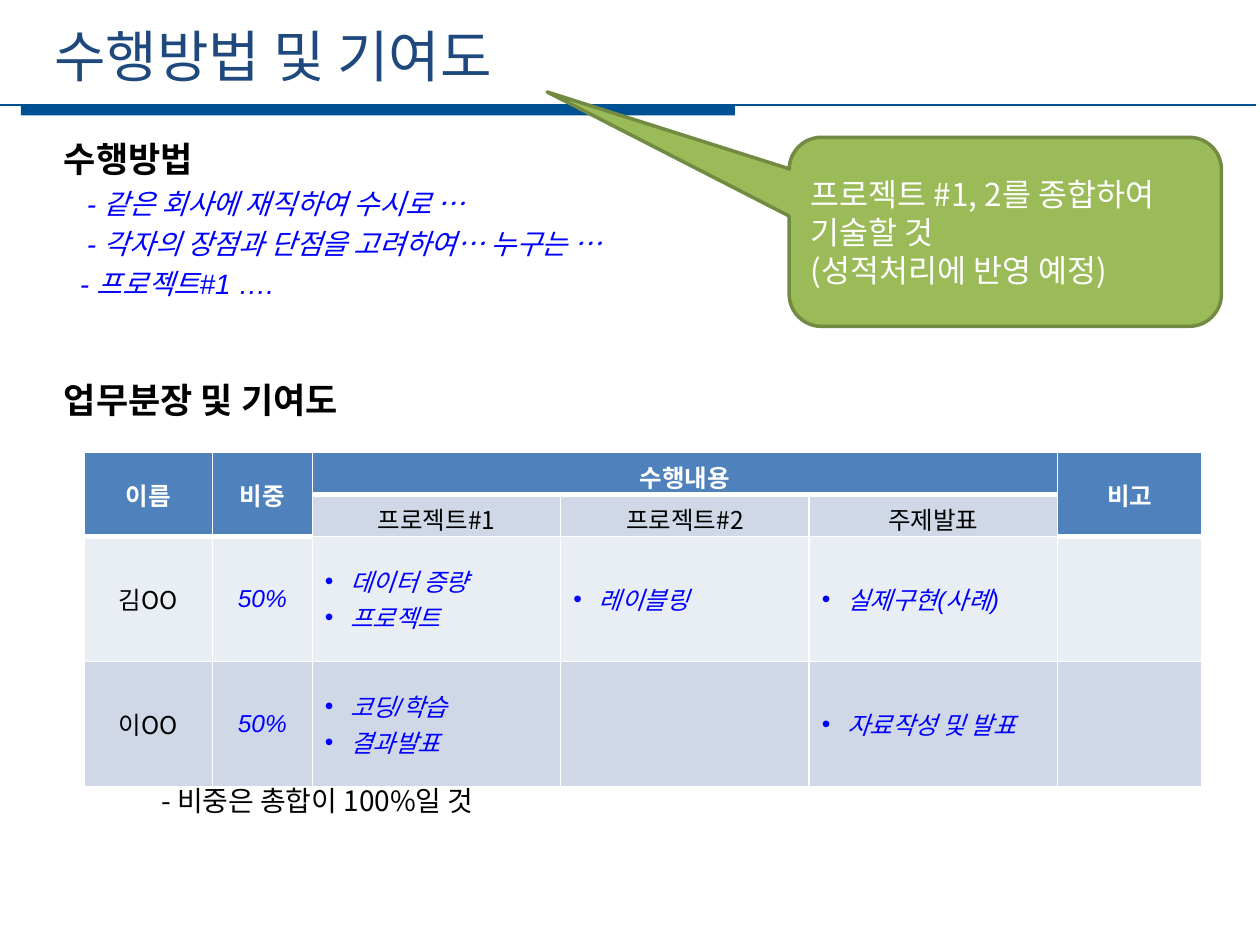
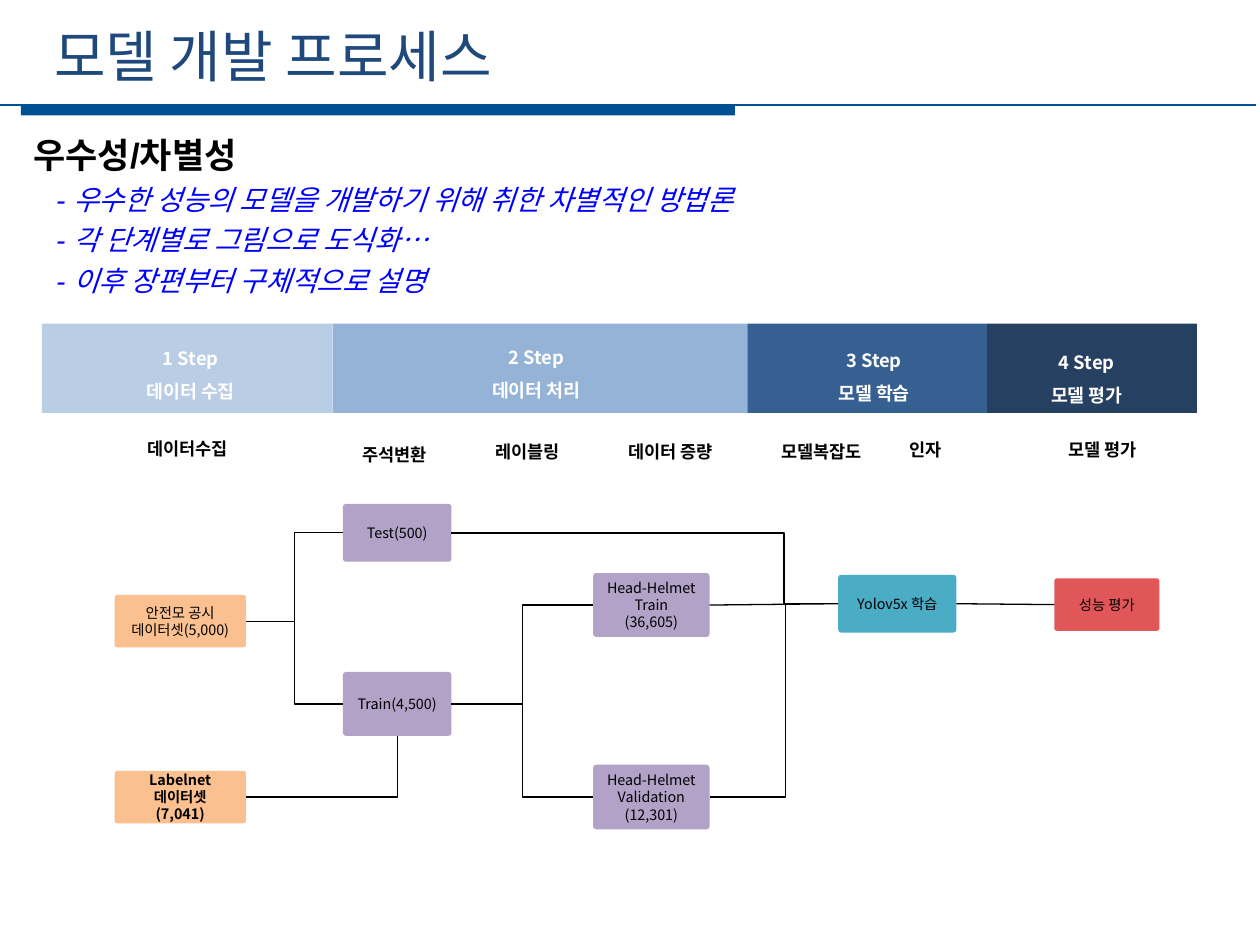
import pptx
import pptx.util
import pptx.dml.color
import pptx.enum.shapes
import pptx.enum.text
import pptx.oxml.ns
from lxml import etree

Pt = pptx.util.Pt
SHAPE = pptx.enum.shapes.MSO_SHAPE
CONN = pptx.enum.shapes.MSO_CONNECTOR
ALIGN = pptx.enum.text.PP_ALIGN
ANCHOR = pptx.enum.text.MSO_ANCHOR
qn = pptx.oxml.ns.qn

# Shared style
NOTO, ARIAL = "Noto Sans CJK KR", "Arial"
C = {
    "white": "FFFFFF", "black": "000000", "title": "1F497D", "band": "005094",
    "blue": "0000FF", "head": "4F81BD", "row_dark": "D0D8E8", "row_light": "E9EDF4",
    "callout": "9BBB59", "callout_line": "738A42",
    "step1": "B9CDE5", "step2": "95B3D7", "step3": "376092", "step4": "254061",
    "source": "FAC090", "data": "B3A2C7", "model": "4BACC6", "result": "E15759",
}

# Slide 1 content
METHOD_TITLE = "수행방법 및 기여도"
METHOD_LINES = [  # text, indent
    ("- 같은 회사에 재직하여 수시로 …", 13),
    ("- 각자의 장점과 단점을 고려하여… 누구는 …", 13),
    ("- 프로젝트#1 ….", 9),
]
CALLOUT = "프로젝트 #1, 2를 종합하여 기술할 것\n(성적처리에 반영 예정)"
NOTE = "- 비중은 총합이 100%일 것"
COLS = [73.5, 57, 142, 142, 142, 82.5]
ROWS = [24, 24, 71.5, 71.5]
TABLE = [
    ["이름", "비중", "수행내용", "", "", "비고"],
    ["", "", "프로젝트#1", "프로젝트#2", "주제발표", ""],
    ["김OO", "50%", "데이터 증량\n프로젝트", "레이블링", "실제구현(사례)", ""],
    ["이OO", "50%", "코딩/학습\n결과발표", "", "자료작성 및 발표", ""],
]
MERGES = [(0, 0, 1, 0), (0, 1, 1, 1), (0, 2, 0, 4), (0, 5, 1, 5)]
TASK_COLS = (2, 3, 4)

# Slide 2 content
PROCESS_TITLE = "모델 개발 프로세스"
PROCESS_LINES = [
    ("- 우수한 성능의 모델을 개발하기 위해 취한 차별적인 방법론", 13),
    ("- 각 단계별로 그림으로 도식화…", 13),
    ("- 이후 장편부터 구체적으로 설명", 13),
]
STEP_EDGES = [24, 190, 427, 564, 684]
STEPS = [  # text, centre, top
    ("1 Step\n데이터 수집", 109, 188.5),
    ("2 Step\n데이터 처리", 306.5, 188),
    ("3 Step\n모델 학습", 499.5, 189.5),
    ("4 Step\n모델 평가", 621, 191),
]
LABELS = [  # text, centre, top
    ("데이터수집", 107, 247), ("주석변환", 225.5, 250), ("레이블링", 301.5, 248.5),
    ("데이터 증량", 383, 248.5), ("모델복잡도", 469.5, 248.5),
    ("인자", 529, 247.5), ("모델 평가", 630, 247.5),
]
BOXES = {  # text, colour, left, top, width, height
    "public": ("안전모 공시\n데이터셋(5,000)", "source", 65.5, 340, 75, 30),
    "bought": ("Labelnet\n데이터셋\n(7,041)", "source", 65.5, 440.5, 75, 30),
    "test": ("Test(500)", "data", 196, 288, 62, 33),
    "train": ("Train(4,500)", "data", 196, 384, 62, 36.5),
    "head_train": ("Head-Helmet\nTrain\n(36,605)", "data", 339, 327.5, 66.5, 36.5),
    "head_valid": ("Head-Helmet\nValidation\n(12,301)", "data", 339, 437, 66.5, 37),
    "yolo": ("Yolov5x 학습", "model", 479, 328.5, 67.5, 33),
    "score": ("성능 평가", "result", 602.5, 330.5, 60, 30),
}
LINKS = [  # from, to, end side, bend (None = straight, 0 = single corner)
    ("public", "test", 1, 0.5), ("public", "train", 1, 0.5),
    ("bought", "train", 2, 0),
    ("train", "head_train", 1, 0.5), ("train", "head_valid", 1, 0.5),
    ("head_train", "yolo", 1, None), ("head_valid", "yolo", 1, 0.59),
    ("test", "yolo", 1, 0.86), ("yolo", "score", 1, None),
]


def rgb(name):
    return pptx.dml.color.RGBColor.from_string(C[name])


def put(tf, text, size=14, color="black", font=NOTO, bold=False, italic=False,
        align=ALIGN.LEFT, spacing=None, before=0, indent=0, bullet=None):
    """Add one paragraph per line of text."""
    for line in text.split("\n"):
        p = tf.paragraphs[-1]
        if p.runs:
            p = tf.add_paragraph()
        p.alignment = align
        if spacing:
            p.line_spacing = spacing
        if before:
            p.space_before = Pt(before)
        pPr = p._p.get_or_add_pPr()
        if indent:
            pPr.set("marL", str(Pt(indent)))
        if bullet:
            pPr.set("indent", str(-Pt(indent)))
            etree.SubElement(pPr, qn("a:buFont")).set("typeface", ARIAL)
            etree.SubElement(pPr, qn("a:buChar")).set("char", bullet)
        r = p.add_run()
        r.text = line
        r.font.size, r.font.bold, r.font.italic = Pt(size), bold, italic
        r.font.color.rgb = rgb(color)
        r.font.name = font
        etree.SubElement(r._r.get_or_add_rPr(), qn("a:ea")).set("typeface", NOTO)


def add_box(s, x, y, w, h):
    tf = s.shapes.add_textbox(Pt(x), Pt(y), Pt(w), Pt(h)).text_frame
    tf.word_wrap = True
    return tf


def add_shape(s, kind, x, y, w, h, fill, line=None):
    sp = s.shapes.add_shape(kind, Pt(x), Pt(y), Pt(w), Pt(h))
    sp.shadow.inherit = False
    sp.fill.solid()
    sp.fill.fore_color.rgb = rgb(fill)
    if line:
        sp.line.color.rgb = rgb(line)
        sp.line.width = Pt(2)
    else:
        sp.line.fill.background()
    sp.text_frame.word_wrap = True
    sp.text_frame.vertical_anchor = ANCHOR.MIDDLE
    return sp


def add_line(s, kind, color, width, x1=0, y1=0, x2=0, y2=0):
    cn = s.shapes.add_connector(kind, Pt(x1), Pt(y1), Pt(x2), Pt(y2))
    cn.line.color.rgb = rgb(color)
    cn.line.width = Pt(width)
    etree.SubElement(cn._element.spPr, qn("a:effectLst"))
    return cn


def add_slide(prs, title):
    s = prs.slides.add_slide(prs.slide_layouts[6])
    add_shape(s, SHAPE.RECTANGLE, 12, 60, 408, 6, "band")
    add_line(s, CONN.STRAIGHT, "band", 1.25, -2, 60, 718, 60)
    put(add_box(s, 24, 8.5, 645, 46), title, size=32, color="title")
    return s


def put_section(tf, heading, lines, before=0):
    put(tf, heading, size=20, font=ARIAL, bold=True, spacing=Pt(23), before=before)
    for text, indent in lines:
        put(tf, text, size=16, color="blue", font=ARIAL, italic=True,
            spacing=Pt(23), indent=indent)


def add_centred(s, text, centre, top, width, height, **fmt):
    tf = add_box(s, centre - width / 2, top, width, height)
    put(tf, text, bold=True, align=ALIGN.CENTER, **fmt)


def set_borders(cell, top, bottom):
    tcPr = cell._tc.get_or_add_tcPr()
    for i, (side, width) in enumerate([("L", 1), ("R", 1), ("T", top), ("B", bottom)]):
        ln = etree.Element(qn("a:ln" + side), w=str(Pt(width)))
        fill = etree.SubElement(ln, qn("a:solidFill"))
        etree.SubElement(fill, qn("a:srgbClr")).set("val", C["white"])
        tcPr.insert(i, ln)


def heavy_below(r, c):
    return r == (0 if c in TASK_COLS else 1)


def add_work_table(s):
    t = s.shapes.add_table(len(ROWS), len(COLS), Pt(48), Pt(258.5),
                           Pt(sum(COLS)), Pt(sum(ROWS))).table
    for c, w in enumerate(COLS):
        t.columns[c].width = Pt(w)
    for r, h in enumerate(ROWS):
        t.rows[r].height = Pt(h)
    for r1, c1, r2, c2 in MERGES:
        t.cell(r1, c1).merge(t.cell(r2, c2))
    for r, row in enumerate(TABLE):
        for c, text in enumerate(row):
            cell = t.cell(r, c)
            task = c in TASK_COLS
            head = r == 0 or (r == 1 and not task)
            cell.fill.solid()
            cell.fill.fore_color.rgb = rgb(
                "head" if head else "row_light" if r == 2 else "row_dark")
            cell.vertical_anchor = ANCHOR.MIDDLE
            if r < 2 and task:
                cell.margin_bottom = 0
            set_borders(cell, 3 if heavy_below(r - 1, c) else 1,
                        3 if r == 0 or heavy_below(r, c) else 1)
            if not text:
                continue
            fmt = {"align": ALIGN.CENTER}
            if head:
                fmt.update(color="white", bold=True)
            elif r > 1 and c > 0:
                fmt.update(color="blue", font=ARIAL, italic=True)
                if task:
                    fmt.update(align=ALIGN.LEFT, indent=14.4, bullet="•")
            put(cell.text_frame, text, **fmt)


def build_method(prs):
    s = add_slide(prs, METHOD_TITLE)
    tf = add_box(s, 29.5, 76, 657, 170)
    put_section(tf, "수행방법", METHOD_LINES)
    put_section(tf, "업무분장 및 기여도", [], before=46)
    add_work_table(s)
    put(add_box(s, 85, 444, 288, 27), NOTE, size=16)
    sp = add_shape(s, SHAPE.ROUNDED_RECTANGULAR_CALLOUT, 451, 78.5, 247, 108,
                   "callout", "callout_line")
    for i, value in enumerate([-1.06, -0.74, 0.17]):
        sp.adjustments[i] = value
    put(sp.text_frame, CALLOUT, size=18, color="white")


def build_process(prs):
    s = add_slide(prs, PROCESS_TITLE)
    put_section(add_box(s, 12, 74, 685, 98), "우수성/차별성", PROCESS_LINES)

    # Step band and its labels
    for i, (left, right) in enumerate(zip(STEP_EDGES, STEP_EDGES[1:]), 1):
        add_shape(s, SHAPE.RECTANGLE, left, 185, right - left, 51, f"step{i}")
    for text, centre, top in STEPS:
        add_centred(s, text, centre, top, 100, 43, size=10.5, color="white", spacing=1.5)
    for text, centre, top in LABELS:
        add_centred(s, text, centre, top, 80, 19.5, size=10)

    # Flow boxes
    nodes = {}
    for name, (text, fill, *at) in BOXES.items():
        sp = nodes[name] = add_shape(s, SHAPE.ROUNDED_RECTANGLE, *at, fill)
        sp.adjustments[0] = 0.05
        tf = sp.text_frame
        tf.margin_left = tf.margin_right = tf.margin_top = tf.margin_bottom = 0
        put(tf, text, size=8.2, bold=name == "bought", align=ALIGN.CENTER)

    # Links between boxes
    for start, end, side, bend in LINKS:
        kind = CONN.STRAIGHT if bend is None else CONN.ELBOW
        cn = add_line(s, kind, "black", 0.75)
        cn.begin_connect(nodes[start], 3)
        cn.end_connect(nodes[end], side)
        geom = cn._element.spPr.find(qn("a:prstGeom"))
        if bend == 0:
            geom.set("prst", "bentConnector2")
        elif bend:
            gd = etree.SubElement(geom.find(qn("a:avLst")), qn("a:gd"))
            gd.set("name", "adj1")
            gd.set("fmla", f"val {round(bend * 100000)}")


def main():
    prs = pptx.Presentation()
    prs.slide_width, prs.slide_height = Pt(720), Pt(540)
    build_method(prs)
    build_process(prs)
    prs.save("out.pptx")


if __name__ == "__main__":
    main()
